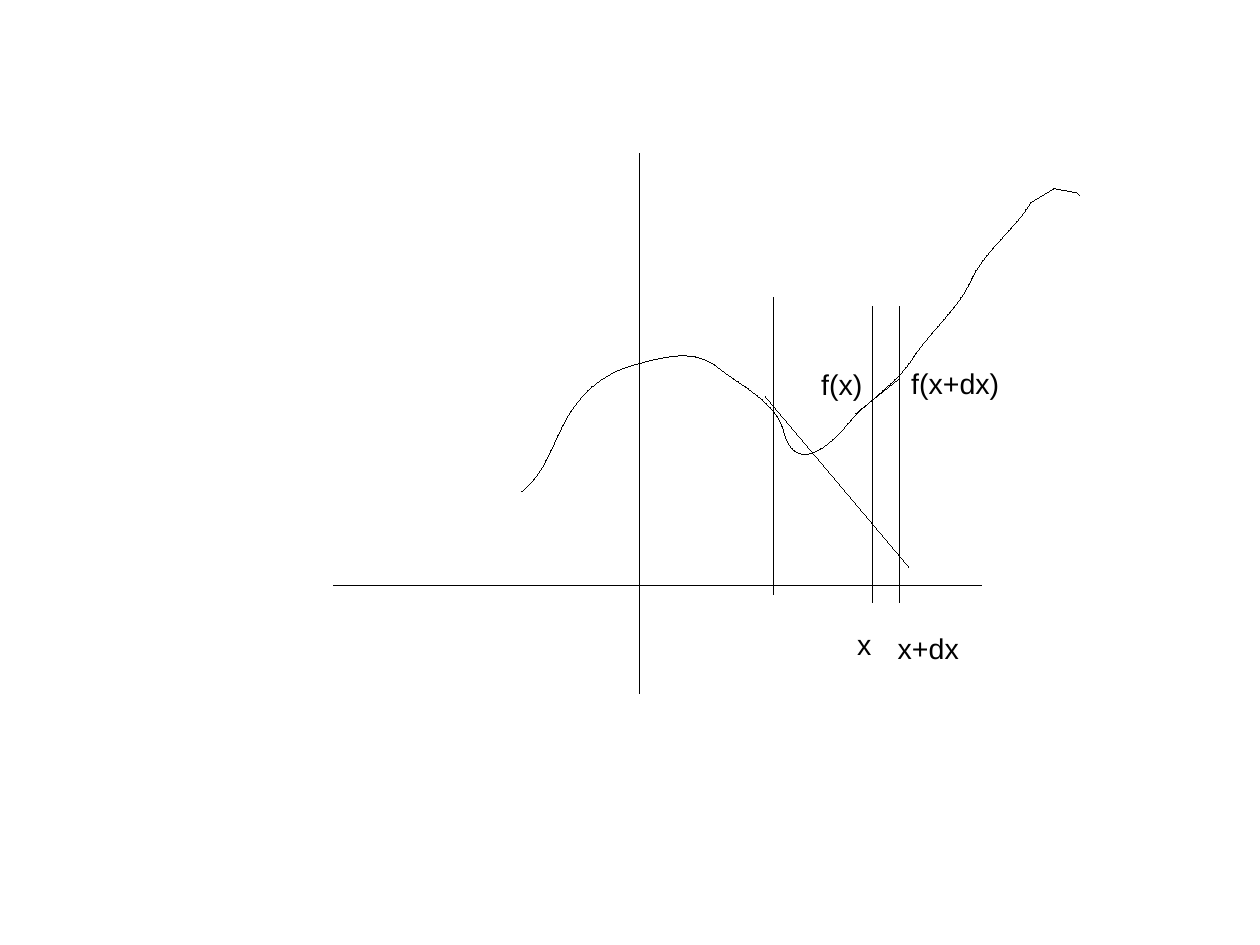
import pptx
import pptx.util
import pptx.dml.color
import pptx.enum.shapes
import pptx.enum.text
import pptx.oxml.ns
import lxml.etree

Cm = pptx.util.Cm
qn = pptx.oxml.ns.qn
COLOURS = {"ink": "000000", "paper": "FFFFFF"}
FONT = "Arial"
HAIRLINE = pptx.util.Pt(0.01)

# Content, lengths in cm
AXES = [((7.4, 13), (21.8, 13)), ((14.2, 15.4), (14.2, 3.4))]
ORDINATES = [(19.4, 6.8), (20, 6.8), (17.2, 6.6)]  # x, top
ORDINATE_HEIGHT = 6.6
SLOPES = [((19, 9.2), (20, 8.4)), ((17, 8.8), (20.2, 12.6))]
LABELS = [  # text, left, top, width
    ("x", 18.8, 13.8, 0.84),
    ("x+dx", 19.7, 13.9, 1.95),
    ("f(x+dx)", 20, 8, 2.5),
    ("f(x)", 18, 8.03, 1.45),
]
LABEL_HEIGHT = 0.97
CURVE_START = (11.6, 10.92)
CURVE_BENDS = [  # two control points and an end point
    ((12.14, 10.49), (12.29, 9.8), (12.62, 9.25)),
    ((12.95, 8.69), (13.44, 8.26), (14.2, 8.08)),
    ((14.81, 7.92), (15.44, 7.75), (15.98, 8.18)),
    ((16.51, 8.61), (17.25, 8.92), (17.42, 9.6)),
    ((17.75, 10.72), (18.64, 9.65), (18.9, 9.35)),
    ((19.33, 8.86), (19.91, 8.53), (20.27, 7.98)),
    ((20.68, 7.34), (21.29, 6.88), (21.59, 6.2)),
    ((21.92, 5.54), (22.53, 5.11), (22.91, 4.5)),
]
CURVE_TAIL = [(23.42, 4.19), (23.95, 4.29), (24, 4.34)]


def colour(name):
    return pptx.dml.color.RGBColor.from_string(COLOURS[name])


def ink_line(shape):
    shape.line.color.rgb = colour("ink")
    shape.line.width = HAIRLINE


def add_line(page, start, end):
    line = page.shapes.add_connector(
        pptx.enum.shapes.MSO_CONNECTOR.STRAIGHT,
        *(Cm(value) for value in start + end))
    ink_line(line)
    lxml.etree.SubElement(line._element.spPr, qn("a:effectLst"))


def add_curve(page):
    points = [CURVE_START, *(point for bend in CURVE_BENDS for point in bend), *CURVE_TAIL]
    (start_x, start_y), *rest = [(Cm(x), Cm(y)) for x, y in points]
    builder = page.shapes.build_freeform(start_x, start_y)
    builder.add_line_segments(rest, close=False)
    curve = builder.convert_to_shape()
    curve.shadow.inherit = False
    curve.fill.background()
    ink_line(curve)

    # Each three segments of a bend become one cubic segment
    segments = list(curve._element.iter(qn("a:lnTo")))
    for first in range(0, 3 * len(CURVE_BENDS), 3):
        bend = segments[first:first + 3]
        cubic = lxml.etree.Element(qn("a:cubicBezTo"))
        bend[0].addprevious(cubic)
        for segment in bend:
            cubic.append(segment[0])
            segment.getparent().remove(segment)


def add_label(page, text, left, top, width):
    box = page.shapes.add_textbox(Cm(left), Cm(top), Cm(width), Cm(LABEL_HEIGHT))
    frame = box.text_frame
    frame.word_wrap = False
    frame.auto_size = pptx.enum.text.MSO_AUTO_SIZE.SHAPE_TO_FIT_TEXT
    span = frame.paragraphs[0].add_run()
    span.text = text
    span.font.name = FONT
    span.font.size = pptx.util.Pt(18)
    span.font.color.rgb = colour("ink")


def main():
    deck = pptx.Presentation()
    deck.slide_width, deck.slide_height = Cm(28), Cm(21)
    page = deck.slides.add_slide(deck.slide_layouts[6])
    page.background.fill.solid()
    page.background.fill.fore_color.rgb = colour("paper")

    # Axes and function
    for start, end in AXES:
        add_line(page, start, end)
    add_curve(page)

    # Ordinates, chord and tangent
    uprights = [((x, top), (x, top + ORDINATE_HEIGHT)) for x, top in ORDINATES]
    for start, end in uprights + SLOPES:
        add_line(page, start, end)

    # Labels
    for label in LABELS:
        add_label(page, *label)

    deck.save("out.pptx")


if __name__ == "__main__":
    main()
